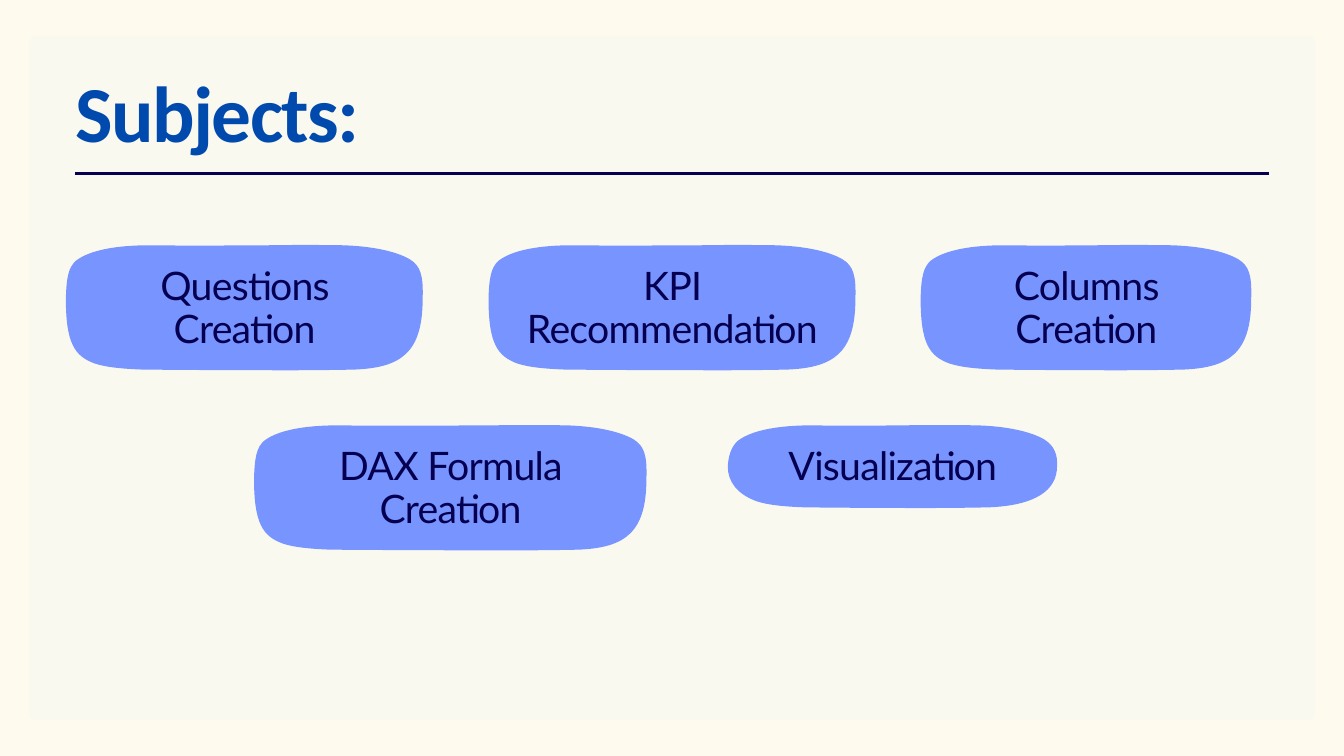
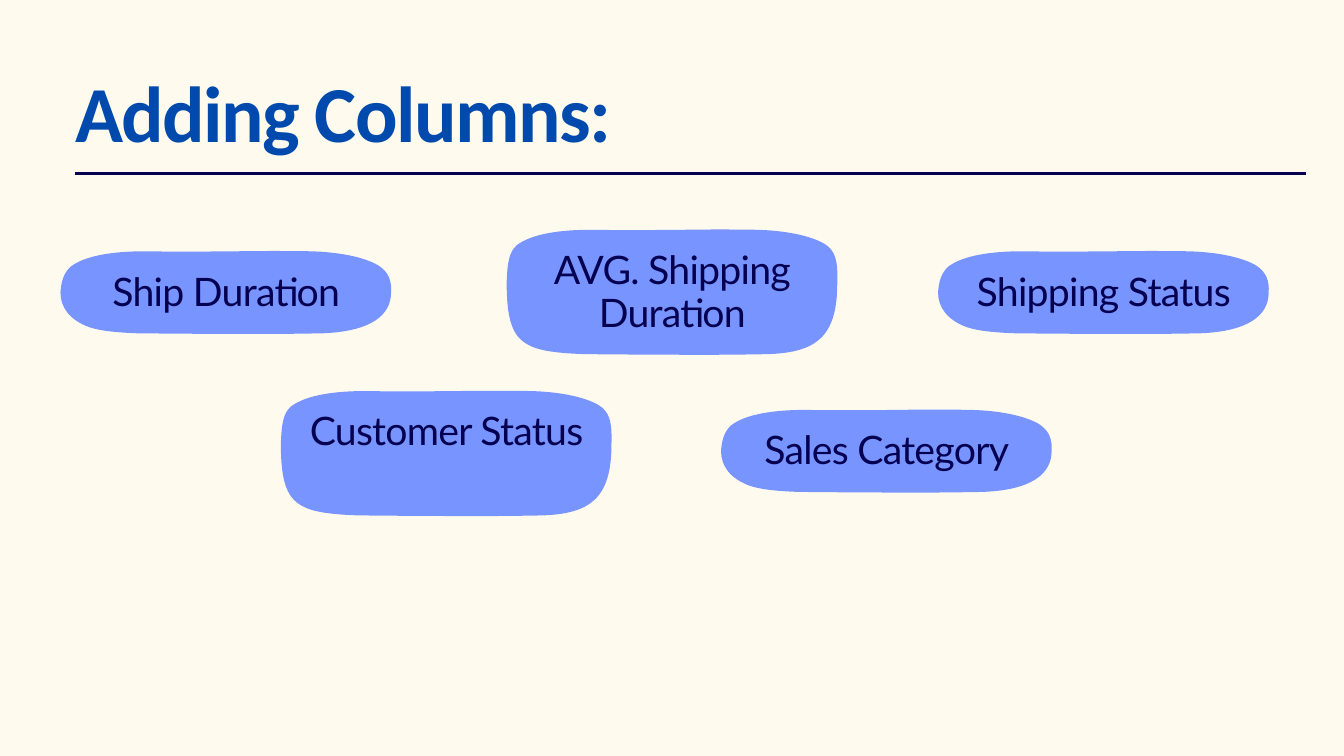
import pptx
import pptx.dml.color
import pptx.enum.shapes
import pptx.enum.text
import pptx.oxml.ns
import pptx.util
import lxml.etree

PX = 9144  # EMU in one px, 100 px to the inch
CREAM = pptx.dml.color.RGBColor(0xFF, 0xFA, 0xEE)
PANEL = pptx.dml.color.RGBColor(0xFA, 0xF9, 0xF0)
BLOB = pptx.dml.color.RGBColor(0x78, 0x94, 0xFF)
NAVY = pptx.dml.color.RGBColor(0x05, 0x01, 0x50)
BLUE = pptx.dml.color.RGBColor(0x00, 0x4A, 0xAD)
CENTER = pptx.enum.text.PP_ALIGN.CENTER
TALL, SHORT = 187, 124


def add_text(shapes, text, left, top, width, height, *, font, size, color,
             leading, tracking, bold=False, align=None):
    """Add a text box; each line of text becomes one paragraph."""
    box = shapes.add_textbox(left * PX, top * PX, width * PX, height * PX)
    frame = box.text_frame
    frame.word_wrap = True
    frame.auto_size = pptx.enum.text.MSO_AUTO_SIZE.SHAPE_TO_FIT_TEXT
    frame.margin_left = frame.margin_right = 0
    frame.margin_top = frame.margin_bottom = 0
    for index, line in enumerate(text.split("\n")):
        para = frame.add_paragraph() if index else frame.paragraphs[0]
        para.alignment = align
        para.line_spacing = pptx.util.Pt(leading)
        span = para.add_run()
        span.text = line
        span.font.name = font
        span.font.size = pptx.util.Pt(size)
        span.font.bold = bold
        span.font.color.rgb = color
        span._r.get_or_add_rPr().set("spc", str(tracking))


def add_blob(page, text, left, top, width, height):
    """Add a pebble with rounded ends that keep their size, and its label."""
    middle = 80 if height == TALL else 62
    w, h = width, height
    start = (w - 102, h - 1)
    # Two control points and an end point for each cubic curve
    curve_points = [
        start, (w - 147, h), (w - 197, h),
        (w * 2 // 5, h), (114, h - 1), (114, h - 1),
        (88, h - 2), (61, h - 4), (43, h - 10),
        (13, h - 21), (0, h - 40), (0, middle),
        (1, 48), (4, 34), (15, 24),
        (37, 7), (80, 1), (125, 1),
        (125, 1), (168, 2), (w - 230, 1),
        (w - 171, 0), (w - 121, 1), (w - 121, 1),
        (w - 81, 2), (w - 42, 9), (w - 20, 22),
        (w - 4, 32), (w, 46), (w - 1, middle),
        (w - 1, h - 27), (w - 32, h - 4), start,
    ]
    group = page.shapes.add_group_shape()
    builder = group.shapes.build_freeform(left + start[0], top + start[1], scale=PX)
    builder.add_line_segments([(left + x, top + y) for x, y in curve_points], close=True)
    blob = builder.convert_to_shape()

    # Turn every three line segments into one cubic curve
    lines = list(blob._element.iter(pptx.oxml.ns.qn("a:lnTo")))
    for first in range(0, len(lines), 3):
        curve = lxml.etree.Element(pptx.oxml.ns.qn("a:cubicBezTo"))
        lines[first].addprevious(curve)
        for line in lines[first:first + 3]:
            curve.append(line[0])
            line.getparent().remove(line)

    blob.shadow.inherit = False
    blob.fill.solid()
    blob.fill.fore_color.rgb = BLOB
    blob.line.fill.background()

    inset = round(width * 0.077)
    add_text(group.shapes, text, left + inset, top + 30, width - 2 * inset, height - 57,
             font="Lato", size=42, color=NAVY, leading=46.2, tracking=-80, align=CENTER)


# Title, right end of the rule, panel or not, and pebbles of each page
PAGES = [
    ("Subjects:", 1888, True, [
        ("Questions Creation", 98, 364, 532, TALL),
        ("Columns Creation", 1370, 364, 493, TALL),
        ("KPI Recommendation", 727, 364, 547, TALL),
        ("Visualization", 1083, 632, 491, SHORT),
        ("DAX Formula Creation", 378, 632, 585, TALL),
    ]),
    ("Adding Columns:", 1944, False, [
        ("Ship Duration", 90, 373, 493, SHORT),
        ("AVG. Shipping\nDuration", 754, 341, 493, TALL),
        ("Sales Category", 1073, 609, 493, SHORT),
        ("Shipping Status", 1396, 373, 493, SHORT),
        ("Customer Status", 418, 581, 493, TALL),
    ]),
]

deck = pptx.Presentation()
deck.slide_width = 2000 * PX
deck.slide_height = 1125 * PX

for title, rule_end, has_panel, blobs in PAGES:
    page = deck.slides.add_slide(deck.slide_layouts[6])
    page.background.fill.solid()
    page.background.fill.fore_color.rgb = CREAM

    # Pale panel with slightly rounded corners
    if has_panel:
        panel = page.shapes.add_shape(
            pptx.enum.shapes.MSO_SHAPE.ROUNDED_RECTANGLE,
            43 * PX, 53 * PX, 1914 * PX, 1019 * PX)
        panel.adjustments[0] = 9 / 1019
        panel.shadow.inherit = False
        panel.fill.solid()
        panel.fill.fore_color.rgb = PANEL
        panel.line.fill.background()

    for blob in blobs:
        add_blob(page, *blob)

    # Title and the rule under it
    add_text(page.shapes, title, 112, 112, 1517, 252, font="Calibri", size=85,
             color=BLUE, leading=89.2, tracking=-170, bold=True)
    rule = page.shapes.add_connector(
        pptx.enum.shapes.MSO_CONNECTOR.STRAIGHT,
        112 * PX, 258 * PX, rule_end * PX, 258 * PX)
    rule.line.color.rgb = NAVY
    rule.line.width = pptx.util.Pt(3)
    lxml.etree.SubElement(rule._element.spPr, pptx.oxml.ns.qn("a:effectLst"))

deck.save("out.pptx")
